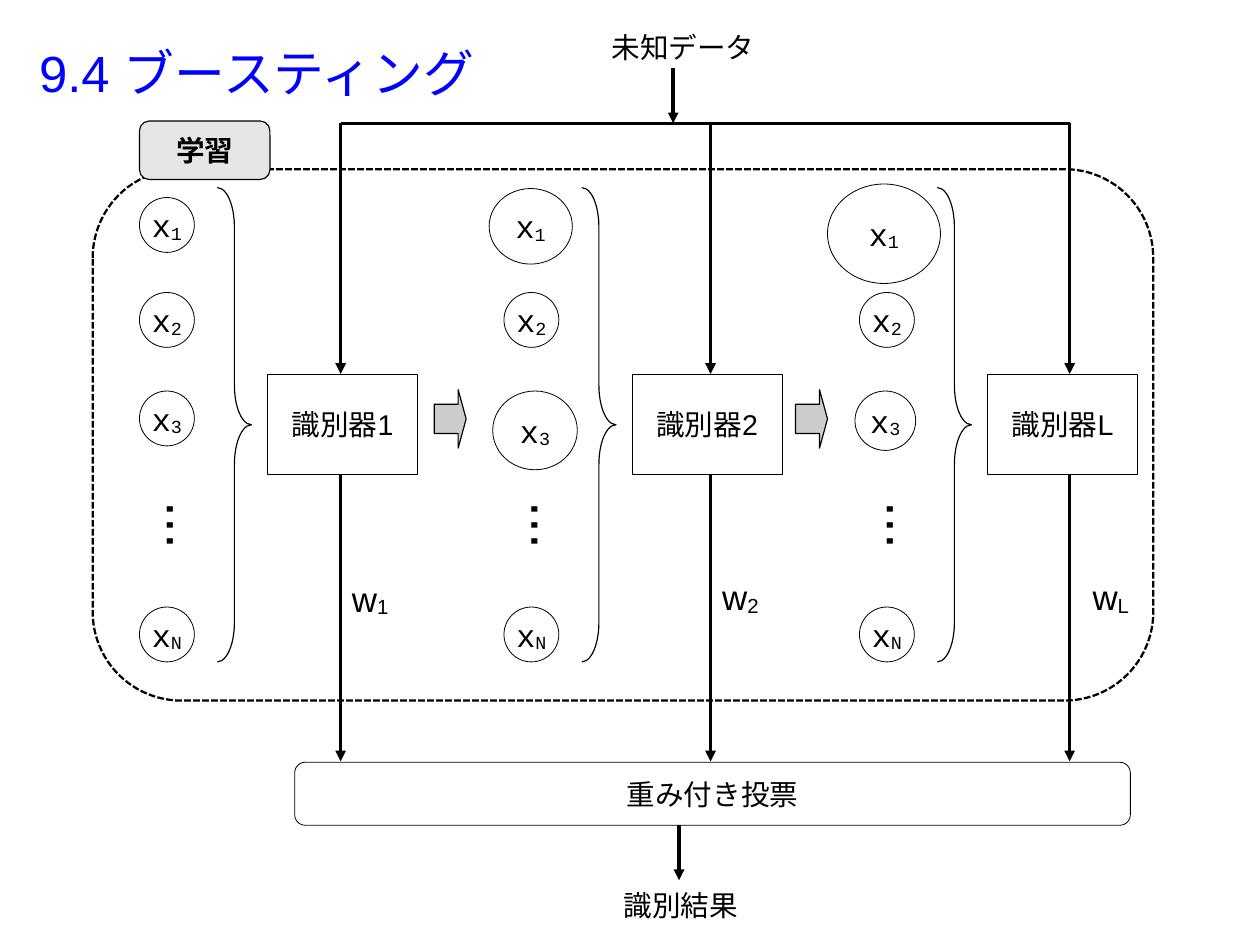
"""Build the boosting slide: weighted samples, classifiers and a weighted vote."""
from dataclasses import dataclass

from lxml.etree import SubElement as Sub
from pptx import Presentation
from pptx.dml.color import RGBColor
from pptx.enum.dml import MSO_LINE as Dash
from pptx.enum.lang import MSO_LANGUAGE_ID as Lang
from pptx.enum.shapes import MSO_CONNECTOR as Link, MSO_SHAPE as Kind
from pptx.enum.text import MSO_ANCHOR as Anchor, MSO_AUTO_SIZE as Fit, PP_ALIGN as Align
from pptx.oxml.ns import qn
from pptx.shapes.autoshape import Shape
from pptx.slide import Slide
from pptx.util import Cm, Pt

BLACK = RGBColor(0, 0, 0)
BLUE = RGBColor(0, 0, 255)
GREY = RGBColor(0xCC, 0xCC, 0xCC)
PALE = RGBColor(0xE6, 0xE6, 0xE6)

BUS = 2.74
SIDE = 1.22
ROWS = {"1": 4.39, "2": 6.5, "3": 8.69, "N": 13.49}


@dataclass(frozen=True)
class Box:
    x: float
    y: float
    w: float
    h: float


@dataclass(frozen=True)
class Stage:
    mark: str
    brace: float
    stem: float
    weight: Box
    grown: dict[str, Box]


STAGES = [
    Stage("1", 4.83, 7.57, Box(7.57, 12.7, 1.32, 1.37), {}),
    Stage("2", 12.93, 15.79, Box(15.8, 12.67, 1.32, 1.37),
          {"1": Box(10.87, 4.19, 1.85, 1.68), "3": Box(10.95, 8.69, 1.88, 1.75)}),
    Stage("L", 20.83, 23.77, Box(24.03, 12.67, 1.32, 1.37),
          {"1": Box(18.39, 4.09, 2.51, 2.21), "3": Box(19, 8.69, 1.35, 1.32)}),
]


def write(shape: Shape, text: str, sub: str = "", size: float = 18, font: str = "Arial",
          color: RGBColor = BLACK, bold: bool = False, align: Align = Align.CENTER) -> None:
    para = shape.text_frame.paragraphs[0]
    para.alignment = align
    for part in filter(None, (text, sub)):
        run = para.add_run()
        run.text = part
        run.font.size = Pt(size)
        run.font.name = font
        run.font.bold = bold
        run.font.color.rgb = color
        run.font.language_id = Lang.JAPANESE
        if part is sub:
            run.font._element.set("baseline", "-8000")


def draw(slide: Slide, kind: Kind, box: Box, line: float = 0.5,
         fill: RGBColor | None = None, adjs: tuple[float, ...] = ()) -> Shape:
    shape = slide.shapes.add_shape(kind, Cm(box.x), Cm(box.y), Cm(box.w), Cm(box.h))
    shape.shadow.inherit = False
    shape.line.color.rgb = BLACK
    shape.line.width = Pt(line)
    if fill is None:
        shape.fill.background()
    else:
        shape.fill.solid()
        shape.fill.fore_color.rgb = fill
    for i, adj in enumerate(adjs):
        shape.adjustments[i] = adj
    shape.text_frame.vertical_anchor = Anchor.MIDDLE
    shape.text_frame.word_wrap = False
    return shape


def label(slide: Slide, box: Box, text: str, sub: str = "", size: float = 18) -> Shape:
    shape = slide.shapes.add_textbox(Cm(box.x), Cm(box.y), Cm(box.w), Cm(box.h))
    shape.text_frame.word_wrap = False
    shape.text_frame.auto_size = Fit.SHAPE_TO_FIT_TEXT
    write(shape, text, sub, size, align=Align.LEFT)
    return shape


def dots(slide: Slide, box: Box) -> None:
    shape = label(slide, box, "...", size=36)
    frame = shape.text_frame
    frame.margin_left = frame.margin_right = Cm(0.13)
    frame.margin_top = frame.margin_bottom = Cm(0.25)
    frame._txBody.bodyPr.set("vert", "eaVert")


def link(slide: Slide, x: float, y: float, to_x: float, to_y: float, head: bool = True) -> None:
    wire = slide.shapes.add_connector(Link.STRAIGHT, Cm(x), Cm(y), Cm(to_x), Cm(to_y))
    wire.line.color.rgb = BLACK
    wire.line.width = Pt(2.27)
    if head:
        Sub(wire.line._get_or_add_ln(), qn("a:tailEnd"), type="triangle")
    Sub(wire._element.spPr, qn("a:effectLst"))


def train(slide: Slide, stage: Stage) -> None:
    left = stage.brace
    for mark, y in ROWS.items():
        box = stage.grown.get(mark, Box(left - 1.73, y, SIDE, SIDE))
        write(draw(slide, Kind.OVAL, box), "x", mark, 20, "Courier New")
    dots(slide, Box(left - 1.68, 10.9, 1.96, 1.32))
    draw(slide, Kind.RIGHT_BRACE, Box(left, 4.17, 0.76, 10.54), 0, adjs=(1.15, 0.5))
    write(draw(slide, Kind.RECTANGLE, Box(left + 1.12, 8.31, 3.33, 2.24)), "識別器" + stage.mark)
    link(slide, stage.stem, BUS, stage.stem, 8.31)
    link(slide, stage.stem, 10.54, stage.stem, 16.92)
    label(slide, stage.weight, "w", stage.mark, 22)


def main() -> None:
    deck = Presentation()
    deck.slide_width, deck.slide_height = Cm(28), Cm(21)
    slide = deck.slides.add_slide(deck.slide_layouts[5])

    title = slide.shapes.title
    title.left, title.top, title.width, title.height = Cm(0.41), Cm(0.33), Cm(10.59), Cm(2.57)
    frame = title.text_frame
    frame.margin_left = frame.margin_right = frame.margin_top = frame.margin_bottom = 0
    frame.vertical_anchor = Anchor.MIDDLE
    frame.auto_size = Fit.NONE
    write(title, "9.4 ブースティング", size=32, color=BLUE)

    field = draw(slide, Kind.ROUNDED_RECTANGLE, Box(2.06, 3.76, 23.57, 11.81), 1.42, adjs=(0.167,))
    field.line.dash_style = Dash.SQUARE_DOT
    tag = draw(slide, Kind.ROUNDED_RECTANGLE, Box(3.1, 2.69, 2.9, 1.3), 0, PALE, (0.167,))
    write(tag, "学習", bold=True)

    for stage in STAGES:
        train(slide, stage)
    for x in (9.65, 17.68):
        draw(slide, Kind.RIGHT_ARROW, Box(x, 8.66, 0.71, 1.3), 0, GREY, (0.5, 0.25))

    link(slide, STAGES[0].stem, BUS, STAGES[-1].stem, BUS, head=False)
    link(slide, 14.96, 1.5, 14.96, BUS)
    link(slide, 15.09, 18.34, 15.09, 19.56)
    label(slide, Box(13.34, 0.53, 4.17, 1.19), "未知データ")
    label(slide, Box(13.61, 19.61, 3.05, 1.19), "識別結果")
    vote = draw(slide, Kind.ROUNDED_RECTANGLE, Box(6.55, 16.94, 18.57, 1.4), adjs=(0.167,))
    write(vote, "重み付き投票")

    deck.save("out.pptx")


if __name__ == "__main__":
    main()
